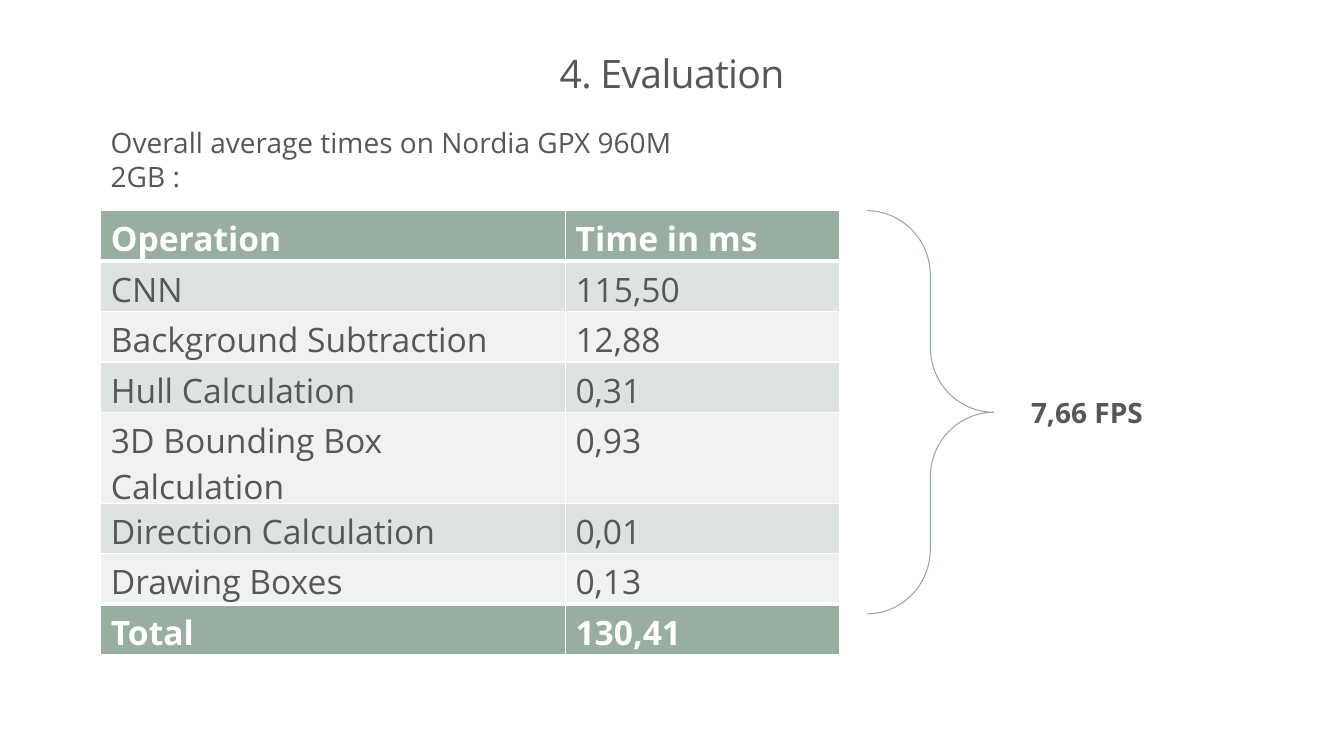
from lxml.etree import SubElement as Sub
from pptx import Presentation
from pptx.dml.color import RGBColor
from pptx.enum.shapes import MSO_SHAPE as Shape
from pptx.enum.text import MSO_ANCHOR as Anchor, PP_ALIGN as Align
from pptx.oxml.ns import qn
from pptx.util import Inches, Pt

# Grid: 160 columns by 90 rows, twelve to the inch
UNIT = Inches(1) // 12
COLS, ROWS = 160, 90

FONT = "Open Sans"
INK, WHITE = "57565A", "FFFFFF"
SAGE, PALE, FAINT, EDGE = "97AEA0", "DDE3DF", "EFF2F0", "93AB9C"

LEFT, TOP, TALL = 12, 25.08, 48
WIDTHS = (55.32, 32.6)
ROW = 4.92
TIMES = [
    ("Operation", "Time in ms"),
    ("CNN", "115,50"),
    ("Background Subtraction", "12,88"),
    ("Hull Calculation", "0,31"),
    ("3D Bounding Box Calculation", "0,93"),
    ("Direction Calculation", "0,01"),
    ("Drawing Boxes", "0,13"),
    ("Total", "130,41"),
]


def grid(*cells):
    return [round(n * UNIT) for n in cells]


def paint(color, code):
    color.rgb = RGBColor.from_string(code)


def write(frame, text, size, code=INK, bold=False):
    frame.text = text
    font = frame.paragraphs[0].runs[0].font
    font.name, font.size, font.bold = FONT, Pt(size), bold
    paint(font.color, code)


def add_title(slide, text):
    title = slide.shapes.title
    title.left, title.top, title.width, title.height = grid(LEFT, 3.72, 136, 10.68)
    frame = title.text_frame
    write(frame, text, 28)
    frame.vertical_anchor = Anchor.MIDDLE
    frame.margin_left = frame.margin_right = 0
    frame.margin_top = frame.margin_bottom = 0
    line = frame.paragraphs[0]
    line.alignment, line.line_spacing = Align.CENTER, 0.86
    line.runs[0].font._element.set("spc", "-50")


def add_label(slide, text, box, bold=False):
    frame = slide.shapes.add_textbox(*grid(*box)).text_frame
    frame.word_wrap = True
    write(frame, text, 20, bold=bold)


def set_edges(cell, top, base):
    props = cell._tc.get_or_add_tcPr()
    sides = (("a:lnL", 1), ("a:lnR", 1), ("a:lnT", top), ("a:lnB", base))
    for tag, width in sides:
        line = Sub(props, qn(tag), w=str(Pt(width)))
        Sub(Sub(line, qn("a:solidFill")), qn("a:srgbClr"), val=WHITE)


def add_times(slide):
    count = len(TIMES)
    box = grid(LEFT, TOP, sum(WIDTHS), TALL)
    holder = slide.shapes.add_table(count, len(WIDTHS), *box)
    table = holder.table
    for col, width in zip(table.columns, grid(*WIDTHS)):
        col.width = width
    for i, pair in enumerate(TIMES):
        table.rows[i].height = grid(ROW)[0]
        strong = i in (0, count - 1)
        fill = SAGE if strong else (PALE if i % 2 else FAINT)
        # Heavy rules set off the head and the total
        top = 3 if i in (1, count - 1) else 1
        base = 3 if i in (0, count - 2) else 1
        for cell, text in zip(table.rows[i].cells, pair):
            write(cell.text_frame, text, 24, WHITE if strong else INK, strong)
            set_edges(cell, top, base)
            cell.fill.solid()
            paint(cell.fill.fore_color, fill)
    holder.height = box[3]


def add_brace(slide):
    brace = slide.shapes.add_shape(
        Shape.RIGHT_BRACE, *grid(103.2, TOP, 15.12, TALL))
    brace.shadow.inherit = False
    brace.adjustments[0], brace.adjustments[1] = 0.51, 0.5
    brace.fill.background()
    brace.line.width = Pt(0.75)
    paint(brace.line.color, EDGE)


def main():
    deck = Presentation()
    deck.slide_width, deck.slide_height = grid(COLS, ROWS)
    slide = deck.slides.add_slide(deck.slide_layouts[5])

    # Heading and caption
    add_title(slide, "4. Evaluation")
    add_label(slide, "Overall average times on Nordia GPX 960M 2GB :",
              (LEFT, 14.4, 73.44, 5.28))

    # Times and the resulting frame rate
    add_times(slide)
    add_label(slide, "7,66 FPS", (121.56, 46.44, 17.04, 5.28), bold=True)
    add_brace(slide)

    deck.save("out.pptx")


if __name__ == "__main__":
    main()
